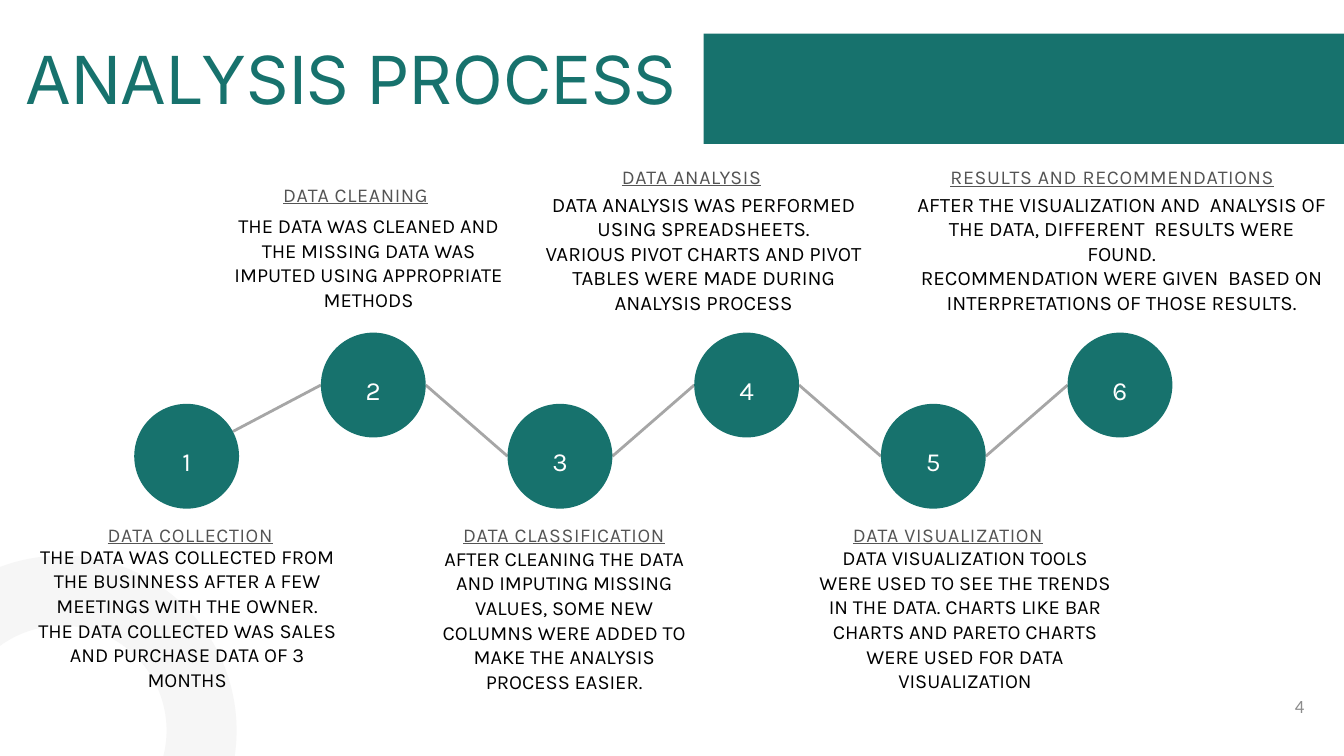
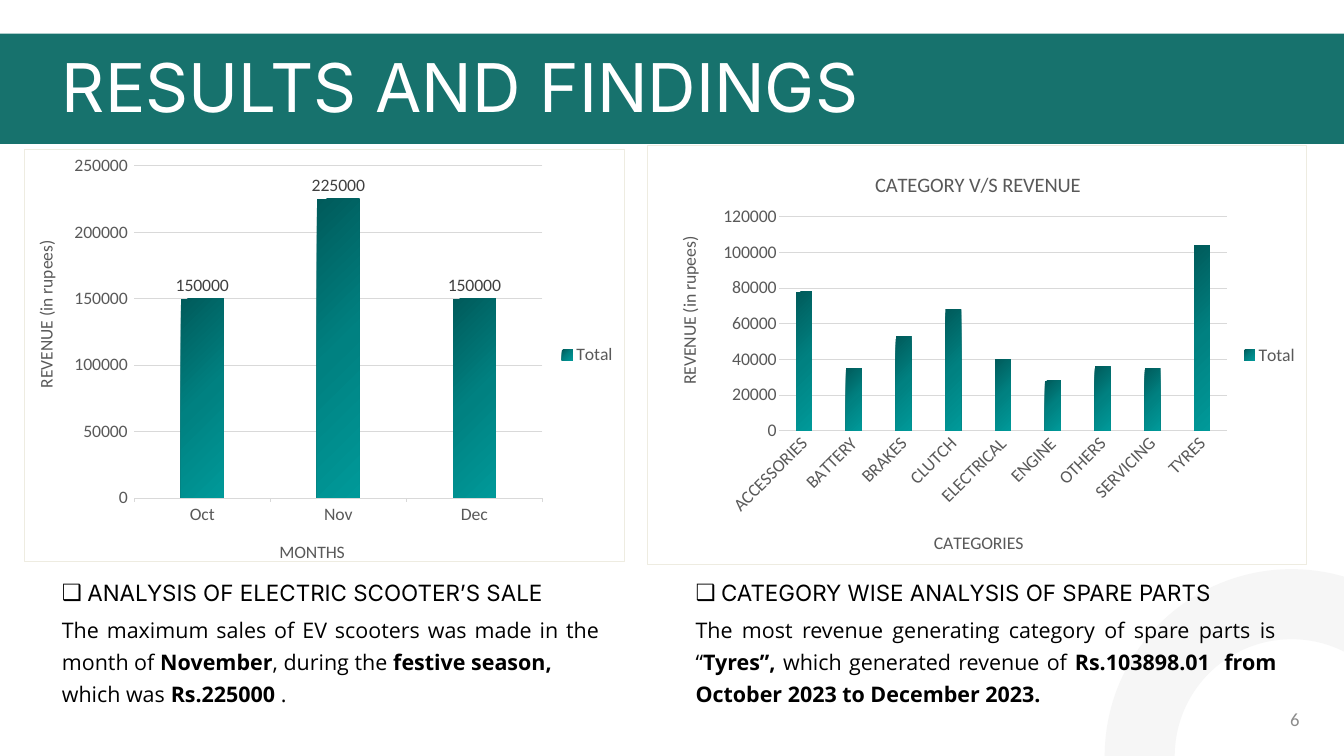
"""Build two slides: the analysis process, and the results with their charts."""
from lxml.etree import SubElement
from pptx import Presentation
from pptx.chart.data import CategoryChartData
from pptx.dml.color import RGBColor
from pptx.enum.chart import XL_CHART_TYPE, XL_LABEL_POSITION, XL_LEGEND_POSITION, XL_TICK_MARK
from pptx.enum.shapes import MSO_CONNECTOR, MSO_SHAPE
from pptx.enum.text import MSO_ANCHOR, MSO_AUTO_SIZE, PP_ALIGN
from pptx.oxml import parse_xml
from pptx.oxml.ns import nsdecls, qn
from pptx.util import Inches, Pt

TEAL, WHITE, BLACK = "17726D", "FFFFFF", "000000"
RING, LINK, GRID, BORDER = "F6F6F6", "A6A6A6", "D9D9D9", "EEECE1"
HEADING_GRAY, CHART_GRAY, LABEL_GRAY, NUMBER_GRAY = "545454", "595959", "404040", "8C8C8C"

deck = Presentation()
deck.slide_width, deck.slide_height = Inches(20), Inches(11.25)
cell = deck.slide_width // 20

TITLE = {"font": {"name": "Inter", "size": Pt(72)}, "color": WHITE,
         "para": {"alignment": PP_ALIGN.LEFT, "line_spacing": Pt(75.6)}}
SIDE_TITLE = {"font": {"name": "Inter", "size": Pt(70.9)}, "color": TEAL,
              "para": {"alignment": PP_ALIGN.LEFT, "line_spacing": Pt(74.5)}}
STEP_HEADING = {"font": {"name": "Karla", "size": Pt(21), "underline": True}, "color": HEADING_GRAY,
                "para": {"alignment": PP_ALIGN.CENTER, "line_spacing": Pt(29.4)}, "spacing": 70}
STEP_BODY = {"font": {"name": "Karla", "size": Pt(21.5)}, "color": BLACK,
             "para": {"alignment": PP_ALIGN.CENTER, "line_spacing": Pt(26.4)}}
WIDE_STEP_BODY = {**STEP_BODY, "font": {"name": "Karla", "size": Pt(22)}}
STEP_NUMBER = {"font": {"name": "Karla", "size": Pt(28)}, "color": WHITE, "spacing": 340,
               "para": {"alignment": PP_ALIGN.CENTER, "line_spacing": Pt(44.8)},
               "anchor": MSO_ANCHOR.MIDDLE}
FINDING_HEADING = {"font": {"name": "Inter", "size": Pt(24)}, "color": BLACK, "bullet": "❑",
                   "para": {"alignment": PP_ALIGN.LEFT, "line_spacing": Pt(33.6)}}
FINDING_BODY = {"font": {"name": "Open Sans", "size": Pt(23)}, "color": BLACK,
                "para": {"alignment": PP_ALIGN.JUSTIFY, "line_spacing": Pt(34.5)}}
PAGE_NUMBER = {"font": {"name": "Calibri", "size": Pt(20)}, "color": NUMBER_GRAY,
               "para": {"alignment": PP_ALIGN.RIGHT}, "anchor": MSO_ANCHOR.MIDDLE}


def tint(value):
    """Turn a hex string into a colour."""
    return RGBColor.from_string(value)


def write(shape, area, text, style):
    """Place a shape on the grid and fill it with text, bold between double stars."""
    shape.left, shape.top, shape.width, shape.height = [round(cell * share) for share in area]
    frame = shape.text_frame
    settings = {"margin_left": 0, "margin_top": 0, "margin_right": 0, "margin_bottom": 0,
                "word_wrap": True, "auto_size": MSO_AUTO_SIZE.NONE,
                "vertical_anchor": style.get("anchor", MSO_ANCHOR.TOP)}
    for name, value in settings.items():
        setattr(frame, name, value)
    for row, line in enumerate(text.split("\n")):
        para = frame.add_paragraph() if row else frame.paragraphs[0]
        properties = para._p.get_or_add_pPr()
        indent = Inches(0.38) if "bullet" in style else 0
        properties.set("marL", str(indent))
        properties.set("indent", str(-indent))
        if indent:
            SubElement(properties, qn("a:buChar")).set("char", style["bullet"])
        else:
            SubElement(properties, qn("a:buNone"))
        for name, value in {"space_before": Pt(0), **style["para"]}.items():
            setattr(para, name, value)
        for order, piece in enumerate(line.split("**")):
            if piece:
                span = para.add_run()
                span.text = piece
                for name, value in {"bold": order % 2 == 1, **style["font"]}.items():
                    setattr(span.font, name, value)
                span.font.color.rgb = tint(style["color"])
    for properties in shape.element.iter(qn("a:rPr")):
        properties.set("spc", str(style.get("spacing", 0)))


pages = [
    {"layout": 5, "title": "ANALYSIS PROCESS", "title_area": (0.38, 0.71, 10.09, 1.07),
     "style": SIDE_TITLE, "band_left": 10.47, "ring": (-1.16, 8.79, 4.16),
     "number": "4", "number_area": (17.18, 10.3, 2.23, 0.4)},
    {"layout": 4, "title": "RESULTS AND FINDINGS", "title_area": (0.92, 0.83, 13.13, 1.07),
     "style": TITLE, "band_left": 0, "ring": (16.96, 8.99, 4.52),
     "number": "6", "number_area": (17.11, 10.5, 2.23, 0.4)},
]
for plan in pages:
    page = deck.slides.add_slide(deck.slide_layouts[plan["layout"]])
    title = page.shapes.title
    write(title, plan["title_area"], plan["title"], plan["style"])

    left, top, size = [round(cell * share) for share in plan["ring"]]
    ring = page.shapes.add_shape(MSO_SHAPE.OVAL, left, top, size, size)
    ring.fill.background()
    ring.line.color.rgb = tint(RING)
    ring.line.width = Pt(75)

    left = round(cell * plan["band_left"])
    band = page.shapes.add_shape(MSO_SHAPE.RECTANGLE, left, cell // 2,
                                 deck.slide_width - left, round(cell * 1.64))
    band.fill.solid()
    band.fill.fore_color.rgb = tint(TEAL)
    band.line.fill.background()
    for backdrop in (ring, band):
        backdrop.shadow.inherit = False
        title.element.getparent().insert(2, backdrop.element)
    write(page.shapes.add_textbox(0, 0, 0, 0), plan["number_area"], plan["number"], PAGE_NUMBER)

process, results = deck.slides

steps = [
    ("DATA COLLECTION", (1.31, 7.72, 3.04, 0.4), (0.51, 8.09, 4.55, 3.04), STEP_BODY,
     "THE DATA WAS COLLECTED FROM THE BUSINNESS AFTER A FEW MEETINGS WITH THE OWNER.\n"
     "THE DATA COLLECTED WAS SALES AND PURCHASE DATA OF 3 MONTHS"),
    ("DATA CLEANING", (3.65, 2.66, 3.28, 0.4), (3.36, 3.17, 4.25, 1.47), STEP_BODY,
     "THE DATA WAS CLEANED AND THE MISSING DATA WAS IMPUTED USING APPROPRIATE METHODS"),
    ("DATA CLASSIFICATION", (6.44, 7.72, 3.9, 0.4), (6.47, 8.12, 3.85, 2.84), STEP_BODY,
     "AFTER CLEANING THE DATA AND IMPUTING MISSING VALUES, SOME NEW COLUMNS WERE ADDED "
     "TO MAKE THE ANALYSIS PROCESS EASIER."),
    ("DATA ANALYSIS", (8.77, 2.39, 3.04, 0.4), (7.94, 2.85, 5.06, 2.1), WIDE_STEP_BODY,
     "DATA ANALYSIS WAS PERFORMED USING SPREADSHEETS.\n"
     "VARIOUS PIVOT CHARTS AND PIVOT TABLES WERE MADE DURING ANALYSIS PROCESS"),
    ("DATA VISUALIZATION", (12.43, 7.72, 3.35, 0.4), (12.17, 8.11, 4.38, 2.48), STEP_BODY,
     "DATA VISUALIZATION TOOLS WERE USED TO SEE THE TRENDS IN THE DATA. CHARTS LIKE BAR "
     "CHARTS AND PARETO CHARTS WERE USED FOR DATA VISUALIZATION"),
    ("RESULTS AND RECOMMENDATIONS", (13.29, 2.4, 6.52, 0.39), (13.64, 2.85, 6.1, 2.21),
     WIDE_STEP_BODY,
     "AFTER THE VISUALIZATION AND  ANALYSIS OF THE DATA, DIFFERENT  RESULTS WERE FOUND.\n"
     "RECOMMENDATION WERE GIVEN  BASED ON INTERPRETATIONS OF THOSE RESULTS."),
]
radius = 0.78
centers = [(20 / 7.2 * (order + 1), 5.73 if order % 2 else 6.79) for order in range(len(steps))]
for order, ((x, y), (next_x, next_y)) in enumerate(zip(centers, centers[1:])):
    reach, rise = (radius, 0) if order else (0.69, 0.37)
    ends = [round(cell * share) for share in (x + reach, y - rise, next_x - radius, next_y)]
    link = process.shapes.add_connector(MSO_CONNECTOR.STRAIGHT, *ends)
    link.line.color.rgb = tint(LINK)
    link.line.width = Pt(3)
    SubElement(link.element.find(qn("p:spPr")), qn("a:effectLst"))

for order, ((x, y), step) in enumerate(zip(centers, steps), 1):
    heading, heading_area, body_area, body_style, body = step
    circle = process.shapes.add_shape(MSO_SHAPE.OVAL, 0, 0, cell, cell)
    circle.shadow.inherit = False
    circle.fill.solid()
    circle.fill.fore_color.rgb = tint(TEAL)
    circle.line.fill.background()
    write(circle, (x - radius, y - radius, 2 * radius, 2 * radius), str(order), STEP_NUMBER)
    write(process.shapes.add_textbox(0, 0, 0, 0), heading_area, heading, STEP_HEADING)
    write(process.shapes.add_textbox(0, 0, 0, 0), body_area, body, body_style)

holders = {holder.placeholder_format.idx: holder for holder in results.placeholders}
findings = [
    (0.92, 8.01, "ANALYSIS OF ELECTRIC SCOOTER’S SALE",
     "The maximum sales of EV scooters was made in the month of **November**, during the "
     "**festive season,**\nwhich was **Rs.225000** ."),
    (10.35, 8.65, "CATEGORY WISE ANALYSIS OF SPARE PARTS",
     "The most revenue generating category of spare parts is “**Tyres”,** which generated "
     "revenue of **Rs.103898.01  from October 2023 to December 2023.**"),
]
for order, (left, width, heading, body) in enumerate(findings):
    write(holders[2 * order + 1], (left, 8.55, width, 0.44), heading, FINDING_HEADING)
    write(holders[2 * order + 2], (left, 9.08, width, 1.7), body, FINDING_BODY)

charts = [
    {"area": (0.36, 2.21, 8.93, 6.25), "title": None, "category": "MONTHS",
     "values": {"Oct": 150000, "Nov": 225000, "Dec": 150000},
     "top": 250000, "step": 50000, "tick": XL_TICK_MARK.OUTSIDE, "turn": 0, "labels": True,
     "plot": (0.183, 0.041, 0.681, 0.805), "category_at": (0.42, 0.94), "value_at": (0.01, 0.22)},
    {"area": (9.63, 2.16, 9.81, 6.25), "title": "CATEGORY V/S REVENUE", "category": "CATEGORIES",
     "values": {"ACCESSORIES": 78000, "BATTERY": 35000, "BRAKES": 53000, "CLUTCH": 68000,
                "ELECTRICAL": 40000, "ENGINE": 28000, "OTHERS": 36000, "SERVICING": 35000,
                "TYRES": 104000},
     "top": 120000, "step": 20000, "tick": XL_TICK_MARK.NONE, "turn": -45, "labels": False,
     "plot": (0.2, 0.17, 0.68, 0.51), "category_at": (0.43, 0.91), "value_at": (0.04, 0.21),
     "title_at": (0.34, 0.05)},
]
for plan in charts:
    data = CategoryChartData()
    data.categories = list(plan["values"])
    data.add_series("Total", list(plan["values"].values()))
    area = [round(cell * share) for share in plan["area"]]
    chart = results.shapes.add_chart(XL_CHART_TYPE.COLUMN_CLUSTERED, *area, data).chart
    chart.has_title = plan["title"] is not None
    chart.has_legend = True
    chart.legend.position = XL_LEGEND_POSITION.RIGHT
    chart.legend.include_in_layout = False

    category_axis, value_axis = chart.category_axis, chart.value_axis
    value_axis.minimum_scale, value_axis.maximum_scale = 0, plan["top"]
    value_axis.major_unit = plan["step"]
    value_axis.format.line.fill.background()
    for line in (category_axis.format.line, value_axis.major_gridlines.format.line):
        line.color.rgb = tint(GRID)
        line.width = Pt(0.75)
    category_axis.major_tick_mark = value_axis.major_tick_mark = plan["tick"]

    titles = [(category_axis, plan["category"], 19), (value_axis, "REVENUE (in rupees)", 19)]
    if plan["title"]:
        titles.append((chart, plan["title"], 22))
    fonts = [(chart.font, 19, BLACK), (chart.legend.font, 19, CHART_GRAY),
             (category_axis.tick_labels.font, 19, CHART_GRAY),
             (value_axis.tick_labels.font, 19, CHART_GRAY)]
    for owner, text, size in titles:
        heading = owner.chart_title if owner is chart else owner.axis_title
        para = heading.text_frame.paragraphs[0]
        span = para.add_run()
        span.text = text
        fonts.append((span.font, size, CHART_GRAY))

    plot = chart.plots[0]
    plot.gap_width, plot.overlap, plot.vary_by_categories = 219, -27, False
    if plan["labels"]:
        plot.has_data_labels = True
        plot.data_labels.show_value = True
        plot.data_labels.position = XL_LABEL_POSITION.OUTSIDE_END
        fonts.append((plot.data_labels.font, 19, LABEL_GRAY))
    for font, size, color in fonts:
        for name, value in {"name": "Calibri", "size": Pt(size), "bold": False}.items():
            setattr(font, name, value)
        font.color.rgb = tint(color)

    fill = plot.series[0].format.fill
    fill.gradient()
    fill.gradient_angle = 315
    root = chart.element
    stops = root.find(".//" + qn("a:gsLst"))
    for stop in list(stops):
        stops.remove(stop)
    for place, color in ((0, "005B5B"), (50, "008181"), (100, "009999")):
        stop = SubElement(stops, qn("a:gs"), pos=str(place * 1000))
        SubElement(stop, qn("a:srgbClr"), val=color)

    root.find(qn("c:chart")).addnext(parse_xml(
        f'<c:spPr {nsdecls("c", "a")}><a:solidFill><a:srgbClr val="{WHITE}"/></a:solidFill>'
        f'<a:ln w="{Pt(0.75)}"><a:solidFill><a:srgbClr val="{BORDER}"/></a:solidFill></a:ln></c:spPr>'))
    if plan["turn"]:
        labels = root.find(".//" + qn("c:catAx")).find(qn("c:txPr"))
        labels.find(qn("a:bodyPr")).set("rot", str(plan["turn"] * 60000))
    value_title = root.find(".//" + qn("c:valAx")).find(qn("c:title"))
    value_title.find(".//" + qn("a:bodyPr")).set("rot", "-5400000")

    targets = [(root.find(".//" + qn("c:plotArea")), plan["plot"]),
               (root.find(".//" + qn("c:catAx")).find(qn("c:title")), plan["category_at"]),
               (value_title, plan["value_at"])]
    if plan["title"]:
        targets.append((root.find(qn("c:chart")).find(qn("c:title")), plan["title_at"]))
    for target, shares in targets:
        for layout in target.findall(qn("c:layout")):
            target.remove(layout)
        layout = parse_xml(f'<c:layout {nsdecls("c")}><c:manualLayout/></c:layout>')
        manual = layout[0]
        if len(shares) == 4:
            SubElement(manual, qn("c:layoutTarget"), val="inner")
        for mode in ("xMode", "yMode"):
            SubElement(manual, qn(f"c:{mode}"), val="edge")
        for name, share in zip("xywh", shares):
            SubElement(manual, qn(f"c:{name}"), val=str(share))
        target.insert(len(target.findall(qn("c:tx"))), layout)

deck.save("out.pptx")
